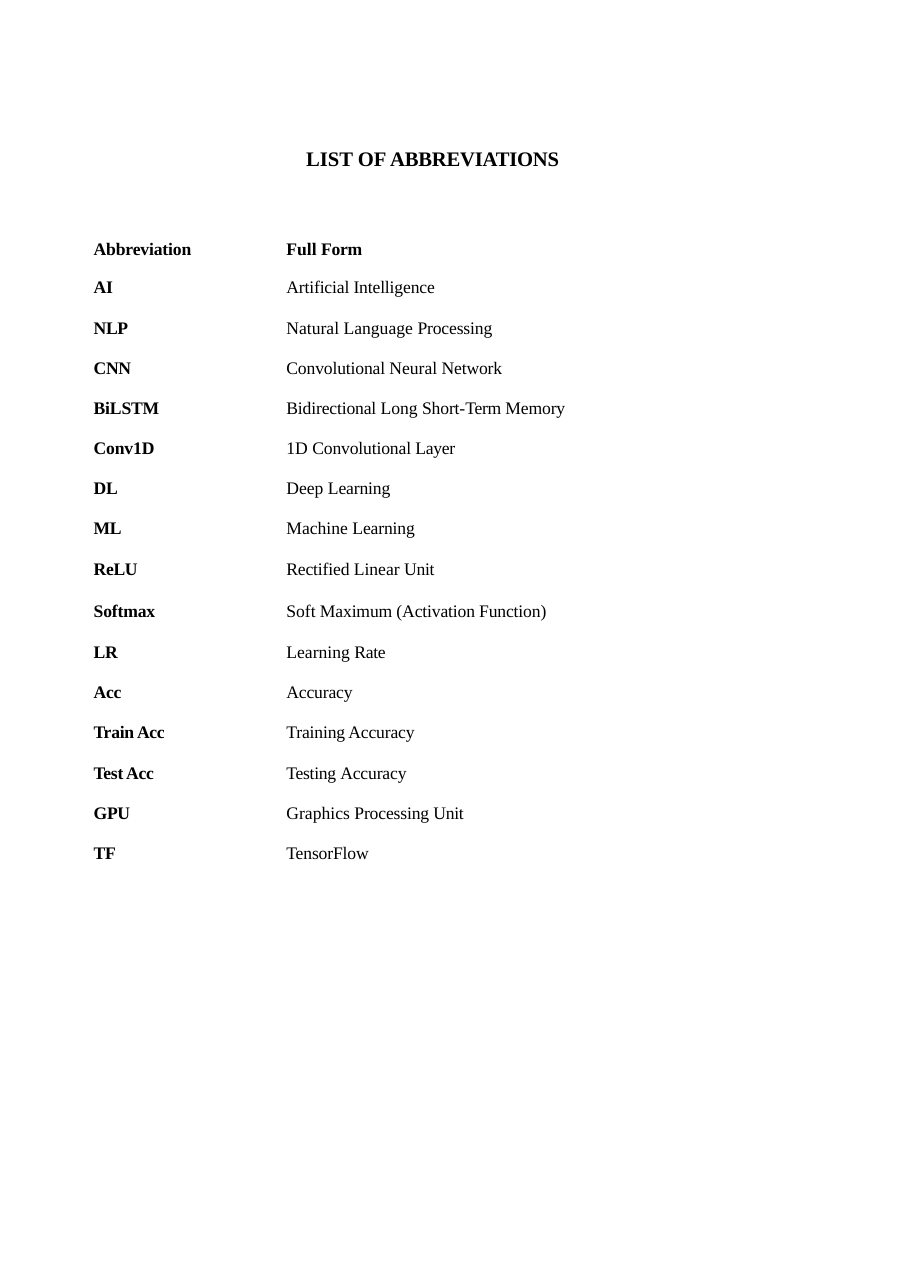
from dataclasses import dataclass

from pptx import Presentation
from pptx.dml.color import RGBColor
from pptx.enum.text import MSO_ANCHOR, MSO_AUTO_SIZE, PP_ALIGN
from pptx.util import Inches, Pt


@dataclass(frozen=True)
class Theme:
    font: str = "Times New Roman"
    ink: RGBColor = RGBColor(0, 0, 0)
    title_size: float = 13.5
    body_size: float = 11.5


THEME = Theme()

TITLE = [("LIST OF", 0), (" ABBREVIATIONS", -0.1)]

# Each row: abbreviation, its letter spacing, runs of the full form with theirs
ROWS = [
    ("Abbreviation", -0.1, [("Full ", 0), ("Form", -0.2)]),
    ("AI", -0.2, [("Artificial Intelligence", -0.1)]),
    ("NLP", -0.2, [("Natural Language ", 0), ("Processing", -0.1)]),
    ("CNN", -0.2, [("Convolutional ", -0.1), ("Neural", 0), (" Network", -0.1)]),
    ("BiLSTM", -0.1, [("Bidirectional ", -0.1), ("Long ", 0), ("Short-", -0.1),
                      ("Term ", -0.2), ("Memory", -0.1)]),
    ("Conv1D", -0.1, [("1D ", 0), ("Convolutional ", -0.1), ("Layer", -0.2)]),
    ("DL", -0.2, [("Deep ", 0), ("Learning", -0.1)]),
    ("ML", -0.2, [("Machine ", 0), ("Learning", -0.1)]),
    ("ReLU", -0.2, [("Rectified ", -0.1), ("Linear ", 0), ("Unit", -0.2)]),
    ("Softmax", -0.1, [("Soft", 0), (" Maximum (Activation Function)", -0.1)]),
    ("LR", -0.2, [("Learning ", 0), ("Rate", -0.2)]),
    ("Acc", -0.2, [("Accuracy", -0.1)]),
    ("Train Acc", -0.2, [("Training Accuracy", -0.1)]),
    ("Test Acc", -0.2, [("Testing ", -0.2), ("Accuracy", -0.1)]),
    ("GPU", -0.2, [("Graphics ", 0), ("Processing ", -0.1), ("Unit", -0.2)]),
    ("TF", -0.2, [("TensorFlow", -0.1)]),
]
LAST = len(ROWS) - 1
SOFTMAX = 9

COLUMN_WIDTHS = (1.36, 3.03)
COLUMN_INDENTS = (0.03, 0.42)
SPECIAL_HEIGHTS = {0: 0.27, SOFTMAX - 1: 0.38, SOFTMAX: 0.38, LAST: 0.27}
TOP_MARGINS = {0: 0, 1: 0.07, SOFTMAX: 0.09}
SPACES_BEFORE = {0: 0, 1: 5.2, SOFTMAX: 6.6}
LINE_SPACINGS = {0: 12.6, LAST: 13}


def add_runs(p, runs, size, bold, indent):
    p.alignment = PP_ALIGN.LEFT
    pPr = p._p.get_or_add_pPr()
    pPr.set("marL", str(Inches(indent)))
    pPr.set("indent", "0")
    for text, spacing in runs:
        r = p.add_run()
        r.text = text
        r.font.name = THEME.font
        r.font.size = Pt(size)
        r.font.bold = bold
        r.font.color.rgb = THEME.ink
        r._r.get_or_add_rPr().set("spc", str(round(spacing * 100)))


def set_margins(frame, top):
    frame.margin_left = frame.margin_right = frame.margin_bottom = 0
    frame.margin_top = Inches(top)
    frame.vertical_anchor = MSO_ANCHOR.TOP


def add_title(s, left, top, width, height):
    sp = s.shapes.title
    sp.left, sp.top = Inches(left), Inches(top)
    sp.width, sp.height = Inches(width), Inches(height)
    tf = sp.text_frame
    tf.word_wrap = True
    tf.auto_size = MSO_AUTO_SIZE.SHAPE_TO_FIT_TEXT
    set_margins(tf, 0.01)
    p = tf.paragraphs[0]
    p.space_before = Pt(1)
    add_runs(p, TITLE, THEME.title_size, True, 0.01)


def fill_cell(cell, row, column, runs):
    cell.fill.background()
    set_margins(cell, TOP_MARGINS.get(row, 0.08))
    p = cell.text_frame.paragraphs[0]
    p.space_before = Pt(SPACES_BEFORE.get(row, 5.5))
    if row in LINE_SPACINGS:
        p.line_spacing = Pt(LINE_SPACINGS[row])
    bold = row == 0 or column == 0
    add_runs(p, runs, THEME.body_size, bold, COLUMN_INDENTS[column])


def add_abbreviations(s, left, top, width, height):
    table = s.shapes.add_table(len(ROWS), 2, Inches(left), Inches(top),
                               Inches(width), Inches(height)).table
    table.first_row = table.horz_banding = False
    for column, column_width in zip(table.columns, COLUMN_WIDTHS):
        column.width = Inches(column_width)

    # Ordinary rows share the height the special rows leave over
    ordinary = (height - sum(SPECIAL_HEIGHTS.values())) / (len(ROWS) - len(SPECIAL_HEIGHTS))
    for i, (short, spacing, full) in enumerate(ROWS):
        table.rows[i].height = Inches(SPECIAL_HEIGHTS.get(i, ordinary))
        for j, runs in enumerate(([(short, spacing)], full)):
            fill_cell(table.cell(i, j), i, j, runs)


def main():
    prs = Presentation()
    prs.slide_width, prs.slide_height = Inches(8.28), Inches(11.69)
    s = prs.slides.add_slide(prs.slide_layouts[5])
    add_title(s, 2.77, 1.31, 2.37, 0.25)
    add_abbreviations(s, 0.82, 2.18, sum(COLUMN_WIDTHS), 5.67)
    prs.save("out.pptx")


if __name__ == "__main__":
    main()
